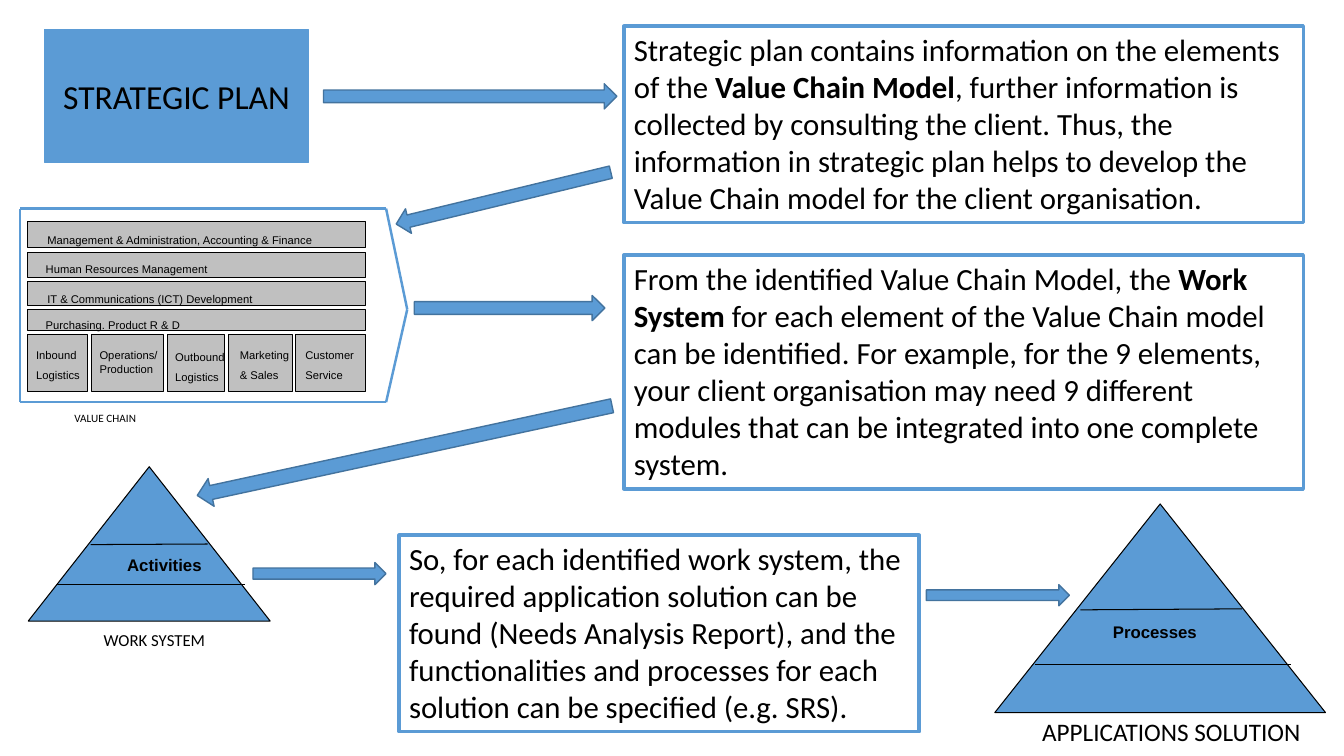
from itertools import pairwise

from lxml.etree import SubElement
from pptx import Presentation
from pptx.dml.color import RGBColor
from pptx.enum.shapes import MSO_CONNECTOR as Connector, MSO_SHAPE as Shape
from pptx.enum.text import MSO_ANCHOR as Anchor, PP_ALIGN as Align
from pptx.oxml.ns import qn
from pptx.util import Pt

BLUE, ARROW_EDGE, GRAY, BLACK = "5B9BD5", "43739E", "C0C0C0", "000000"


def color(hex_text):
    return RGBColor.from_string(hex_text)


def write(shape, text, size=12, font="Calibri", bold=False, align=Align.LEFT,
          anchor=Anchor.TOP, indent=7.2, gap=0):
    """Fill a shape with text: newlines split paragraphs, ** toggles bold."""
    frame = shape.text_frame
    frame.word_wrap = True
    frame.vertical_anchor = anchor
    frame.margin_left, frame.margin_right = Pt(indent), Pt(7.2)
    frame.margin_top = frame.margin_bottom = Pt(3.6)
    for number, line in enumerate(text.split("\n")):
        paragraph = frame.add_paragraph() if number else frame.paragraphs[0]
        paragraph.alignment = align
        paragraph.line_spacing = 1.0
        paragraph.space_before = Pt(gap if number else 0)
        for part, words in enumerate(line.split("**")):
            run = paragraph.add_run()
            run.text = words
            run.font.size, run.font.name = Pt(size), font
            run.font.bold = bold or part % 2 == 1
            run.font.color.rgb = color(BLACK)


class Diagram:
    def __init__(self, slide):
        self.slide = slide
        self.shapes = slide.shapes

    def start_group(self):
        self.shapes = self.slide.shapes.add_group_shape().shapes

    def end_group(self):
        self.shapes = self.slide.shapes

    def title(self, text, box):
        title = self.slide.shapes.title
        title.left, title.top, title.width, title.height = map(Pt, box)
        title.fill.solid()
        title.fill.fore_color.rgb = color(BLUE)
        title.line.color.rgb = color(BLUE)
        title.line.width = Pt(0.75)
        write(title, text, size=24, align=Align.CENTER, anchor=Anchor.MIDDLE)

    def shape(self, kind, box, fill=BLUE, edge=BLACK, width=0.75, rotation=0):
        shape = self.shapes.add_shape(kind, *map(Pt, box))
        shape.shadow.inherit = False
        if fill:
            shape.fill.solid()
            shape.fill.fore_color.rgb = color(fill)
        else:
            shape.fill.background()
        shape.line.color.rgb = color(edge)
        shape.line.width = Pt(width)
        shape.rotation = rotation
        return shape

    def arrow(self, box, rotation=0):
        self.shape(Shape.RIGHT_ARROW, box, edge=ARROW_EDGE, width=1, rotation=rotation)

    def explanation(self, text, box):
        shape = self.shape(Shape.RECTANGLE, box, fill=None, edge=BLUE, width=2.5)
        write(shape, text, size=22)

    def label(self, text, box, **text_format):
        write(self.shapes.add_textbox(*map(Pt, box)), text, **text_format)

    def line(self, start, end, edge=BLACK, width=0.75):
        connector = self.shapes.add_connector(Connector.STRAIGHT, *map(Pt, start + end))
        connector.line.color.rgb = color(edge)
        connector.line.width = Pt(width)
        SubElement(connector.element.spPr, qn("a:effectLst"))

    def pyramid(self, box, text, text_box, lines):
        self.shape(Shape.ISOSCELES_TRIANGLE, box)
        self.label(text, text_box, font="Arial", bold=True, indent=33.9)
        for start, end in lines:
            self.line(start, end)

    def value_chain(self, supports, primaries, outline):
        for text, top, height, label_left, label_top in supports:
            self.shape(Shape.RECTANGLE, (19.6, top, 241.8, height), fill=GRAY)
            self.label(text, (label_left, label_top, 230, 12.2), size=8, font="Arial")
        for text, left, width, label_left, label_top, label_width in primaries:
            self.shape(Shape.RECTANGLE, (left, 239, width, 40.6), fill=GRAY)
            self.label(text, (label_left, label_top, label_width, 22.3),
                       size=8, font="Arial", gap=4.5)
        for start, end in pairwise(outline + outline[:1]):
            self.line(start, end, edge=BLUE, width=1.75)


SUPPORTS = [  # text, top, height, label left, label top
    ("Management & Administration, Accounting & Finance", 158.4, 18.6, 26.8, 162.8),
    ("Human Resources Management", 180.2, 18, 25.6, 183.6),
    ("IT & Communications (ICT) Development", 200.9, 17.2, 26.8, 205.2),
    ("Purchasing. Product R & D", 221, 15, 25.6, 223.9),
]
PRIMARIES = [  # text, left, width, label left, label top, label width
    ("Inbound\nLogistics", 19.6, 43, 18.7, 245.5, 58.3),
    ("Operations/ Production", 65.7, 51.2, 64, 245.5, 56.9),
    ("Outbound\nLogistics", 119.5, 41.2, 118.1, 247, 61.9),
    ("Marketing\n& Sales", 163.3, 45.4, 164.2, 245.5, 65.5),
    ("Customer\nService", 211, 50.4, 211, 245.5, 65.5),
]
OUTLINE = [(14.4, 149), (275.8, 149), (290.9, 221), (275.8, 287.3), (14.4, 287.3)]


def main():
    presentation = Presentation()
    presentation.slide_width, presentation.slide_height = Pt(960), Pt(540)
    slide = presentation.slides.add_slide(presentation.slide_layouts[5])
    diagram = Diagram(slide)

    diagram.title("STRATEGIC PLAN", (31.7, 21.4, 188.8, 94.5))
    diagram.pyramid((710.6, 360, 236.2, 149), "Processes", (761, 440.6, 169.2, 21.8),
                    [((739.4, 474.5), (922.3, 474.5)), ((771.8, 435.6), (887, 434.9))])

    diagram.start_group()
    diagram.pyramid((20.2, 333.4, 172.8, 110.2), "Activities", (56.9, 392.4, 123.8, 15.8),
                    [((41, 417.6), (175, 417.6)), ((64.8, 389), (148.3, 388.6))])
    diagram.label("WORK SYSTEM", (67, 446.4, 107.3, 15.8))
    diagram.end_group()
    diagram.label("APPLICATIONS SOLUTION", (737.3, 508.3, 209.5, 28.8), size=18)

    diagram.start_group()
    diagram.value_chain(SUPPORTS, PRIMARIES, OUTLINE)
    diagram.label("VALUE CHAIN", (46.1, 290.2, 93.6, 12.2), size=8)
    diagram.end_group()

    diagram.explanation(
        "Strategic plan contains information on the elements of the **Value Chain Model**, "
        "further information is collected by consulting the client. Thus, the information in "
        "strategic plan helps to develop the Value Chain model for the client organisation.",
        (445.7, 18.7, 485.3, 140.4))
    diagram.explanation(
        "From the identified Value Chain Model, the **Work System **for each element of the "
        "Value Chain model can be identified. For example, for the 9 elements, your client "
        "organisation may need 9 different modules that can be integrated into one complete "
        "system.",
        (445.7, 182.2, 485.3, 167))
    diagram.explanation(
        "So, for each identified work system, the required application solution can be found "
        "(Needs Analysis Report), and the functionalities and processes for each solution can "
        "be specified (e.g. SRS).",
        (285.1, 382.3, 371.5, 140.4))

    diagram.arrow((231.1, 59.8, 209.5, 18))
    diagram.arrow((280.8, 132.5, 157.7, 18), rotation=166.4)
    diagram.arrow((295.9, 211, 136.1, 18))
    diagram.arrow((137.5, 311.8, 303.1, 20.2), rotation=167.8)
    diagram.arrow((180.7, 401.8, 95, 15.8))
    diagram.arrow((661.7, 417.6, 102.2, 15.1))

    presentation.save("out.pptx")


if __name__ == "__main__":
    main()
